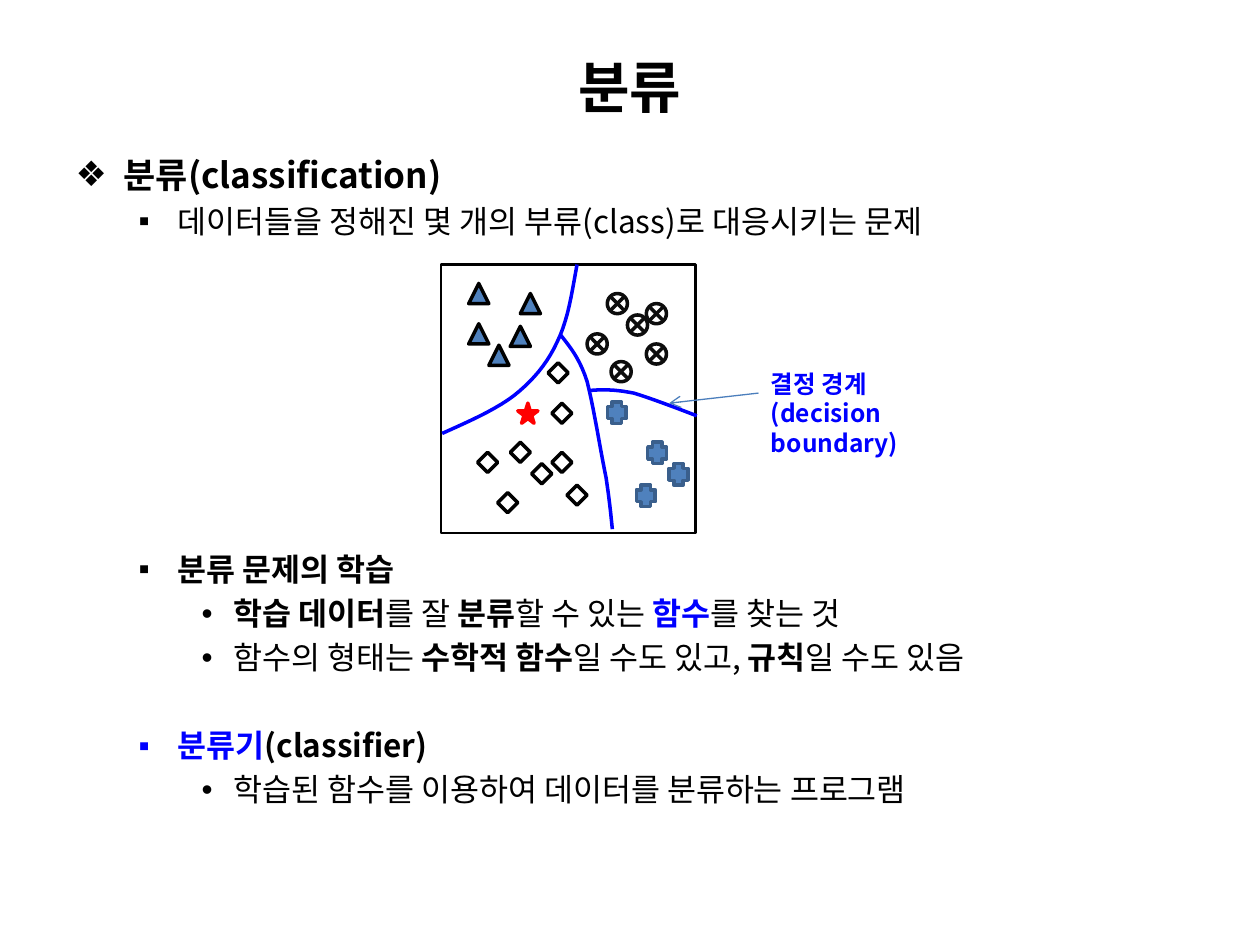
from dataclasses import dataclass

from lxml.etree import SubElement
from pptx import Presentation
from pptx.dml.color import RGBColor
from pptx.enum.shapes import MSO_CONNECTOR as Connector, MSO_SHAPE as Shape
from pptx.enum.text import MSO_ANCHOR as Anchor, MSO_AUTO_SIZE as AutoSize, PP_ALIGN as Align
from pptx.oxml.ns import qn
from pptx.util import Inches, Pt


@dataclass(frozen=True)
class Theme:
    heading: str = "Arial"
    body: str = "Noto Sans CJK KR"
    black: str = "000000"
    ink: str = "0D0D0D"
    accent: str = "0000FF"
    steel: str = "4F81BD"
    steel_edge: str = "3A5F8C"
    arrow: str = "4B7EBC"
    star: str = "FF0000"
    title_size: float = 32
    top_size: float = 20
    text_size: float = 18
    label_size: float = 14
    leading: float = 1.2


THEME = Theme()
COLUMNS, ROWS = 100, 75
CELL = Inches(10) // COLUMNS

# Level: bullet, left margin and hanging indent in columns, type size
LEVELS = {
    0: ("❖", 3.8, 3.8, THEME.top_size),
    1: ("▪", 8.1, 3.1, THEME.text_size),
    2: ("•", 12.5, 2.5, THEME.text_size),
}

# Level, space before in points, runs of (text, bold, colour)
OUTLINE = [
    (0, 0, [("분류(classification)", True, THEME.black)]),
    (1, 3.6, [("데이터들을 정해진 몇 개의 부류(class)로 대응시키는 문제", False, THEME.black)]),
    (1, 177.3, [("분류 문제의 학습", True, THEME.black)]),
    (2, 3.6, [("학습 데이터", True, THEME.black), ("를 잘 ", False, THEME.black),
              ("분류", True, THEME.black), ("할 수 있는 ", False, THEME.black),
              ("함수", True, THEME.accent), ("를 찾는 것", False, THEME.black)]),
    (2, 3.6, [("함수의 형태는 ", False, THEME.black), ("수학적 함수", True, THEME.black),
              ("일 수도 있고, ", False, THEME.black), ("규칙", True, THEME.black),
              ("일 수도 있음", False, THEME.black)]),
    (1, 28.7, [("분류기", True, THEME.accent), ("(classifier)", True, THEME.black)]),
    (2, 3.6, [("학습된 함수를 이용하여 데이터를 분류하는 프로그램", False, THEME.black)]),
]

# Each class: shape, width, height, fill, line, left-top positions
CLASSES = [
    (Shape.ISOSCELES_TRIANGLE, 1.6, 1.6, THEME.steel, THEME.black,
     [(37.2, 22.5), (41.3, 23.3), (40.5, 25.9), (37.2, 25.7), (38.8, 27.4)]),
    (Shape.FLOWCHART_SUMMING_JUNCTION, 1.6, 1.6, None, THEME.ink,
     [(48.2, 23.3), (46.6, 26.5), (51.3, 24.1), (48.5, 28.7), (51.3, 27.3), (49.8, 25)]),
    (Shape.DIAMOND, 1.6, 1.6, None, THEME.black,
     [(40.5, 35.1), (37.9, 35.9), (42.2, 36.8), (39.5, 39.1),
      (43.8, 32), (45, 38.5), (43.5, 28.8), (43.8, 35.9)]),
    (Shape.CROSS, 1.5, 1.7, THEME.steel, THEME.steel_edge,
     [(51.4, 35.1), (53.1, 36.8), (50.5, 38.5), (48.2, 31.9)]),
    (Shape.STAR_5_POINT, 1.6, 1.6, THEME.star, THEME.star, [(41.1, 32)]),
]

# Bezier chains: a start point, then two controls and an end per piece
BOUNDARIES = [
    [(35.1, 34.4), (37.1, 33.5), (39.2, 32.6), (40.8, 31.4), (42.3, 30.2),
     (43.4, 28.9), (44.2, 27.2), (45.1, 25.4), (45.4, 23.2), (45.8, 21)],
    [(44.5, 26.6), (45.2, 27.5), (46, 28.4), (46.6, 30.3), (47.1, 32.2),
     (47.7, 36), (48.1, 37.9), (48.4, 39.9), (48.5, 41), (48.6, 42)],
    [(46.7, 31), (47.8, 30.9), (48.8, 30.9), (50.3, 31.2),
     (51.7, 31.6), (55.3, 33), (55.3, 33)],
]


def grid(*cells):
    return [round(cell * CELL) for cell in cells]


def place(box, *cells):
    for name, value in zip(("left", "top", "width", "height"), grid(*cells)):
        setattr(box, name, value)


def add_span(para, text, size, bold, colour, face=THEME.body):
    span = para.add_run()
    span.text = text
    for name, value in {"size": Pt(size), "bold": bold, "name": face}.items():
        setattr(span.font, name, value)
    span.font.color.rgb = RGBColor.from_string(colour)
    # Hangul takes its face from the East Asian font
    SubElement(span.font._element, qn("a:ea"), typeface=THEME.body)


def paint(shape, fill, line, width):
    shape.shadow.inherit = False
    if fill:
        shape.fill.solid()
        shape.fill.fore_color.rgb = RGBColor.from_string(fill)
    else:
        shape.fill.background()
    shape.line.color.rgb = RGBColor.from_string(line)
    shape.line.width = Pt(width)


def set_frame(frame, **values):
    for name, value in {"word_wrap": True, "auto_size": AutoSize.NONE, **values}.items():
        setattr(frame, name, value)


def add_title(page, text):
    box = page.shapes.title
    place(box, 5, 3, 90, 7.7)
    set_frame(box.text_frame, vertical_anchor=Anchor.MIDDLE)
    para = box.text_frame.paragraphs[0]
    para.alignment = Align.CENTER
    add_span(para, text, THEME.title_size, True, THEME.black, THEME.heading)


def add_outline(page, items):
    box = page.placeholders[1]
    place(box, 5, 11.5, 90, 58.3)
    set_frame(box.text_frame, vertical_anchor=Anchor.TOP, margin_top=Inches(0.07))
    for index, (level, before, spans) in enumerate(items):
        para = box.text_frame.add_paragraph() if index else box.text_frame.paragraphs[0]
        bullet, margin, hang, size = LEVELS[level]
        formats = {"level": level, "space_before": Pt(before),
                   "line_spacing": Pt(size * THEME.leading)}
        for name, value in formats.items():
            setattr(para, name, value)
        properties = para._p.get_or_add_pPr()
        for name, value in zip(("marL", "indent"), grid(margin, -hang)):
            properties.set(name, str(value))
        SubElement(properties, qn("a:buFont"), typeface=THEME.heading)
        SubElement(properties, qn("a:buChar"), char=bullet)
        for text, bold, colour in spans:
            add_span(para, text, size, bold, colour)


def add_mark(page, kind, cells, fill, line, width=2):
    paint(page.shapes.add_shape(kind, *grid(*cells)), fill, line, width)


def bezier(points, steps=10):
    for first in range(0, len(points) - 1, 3):
        a, b, c, d = points[first:first + 4]
        for step in range(1, steps + 1):
            t = step / steps
            weights = ((1 - t) ** 3, 3 * t * (1 - t) ** 2, 3 * t * t * (1 - t), t ** 3)
            yield tuple(sum(w * p[axis] for w, p in zip(weights, (a, b, c, d)))
                        for axis in (0, 1))


def add_boundary(page, points):
    builder = page.shapes.build_freeform(*grid(*points[0]))
    builder.add_line_segments([grid(*point) for point in bezier(points)], close=False)
    paint(builder.convert_to_shape(), None, THEME.accent, 2)


def add_label(page, lines):
    box = page.shapes.add_textbox(*grid(60.2, 28.8, 20, 8))
    set_frame(box.text_frame)
    for index, text in enumerate(lines):
        para = box.text_frame.add_paragraph() if index else box.text_frame.paragraphs[0]
        para.line_spacing = Pt(THEME.label_size * THEME.leading)
        add_span(para, text, THEME.label_size, True, THEME.accent)


def add_arrow(page, *cells):
    arrow = page.shapes.add_connector(Connector.STRAIGHT, *grid(*cells))
    arrow.line.color.rgb = RGBColor.from_string(THEME.arrow)
    arrow.line.width = Pt(0.75)
    SubElement(arrow.line._get_or_add_ln(), qn("a:tailEnd"), type="arrow")
    SubElement(arrow._element.spPr, qn("a:effectLst"))


def main():
    deck = Presentation()
    deck.slide_width, deck.slide_height = COLUMNS * CELL, ROWS * CELL
    page = deck.slides.add_slide(deck.slide_layouts[1])
    add_title(page, "분류")
    add_outline(page, OUTLINE)

    # Scatter of classes with its decision boundaries
    add_mark(page, Shape.RECTANGLE, (35, 21, 20.2, 21.3), None, THEME.black, 1.5)
    for kind, width, height, fill, line, spots in CLASSES:
        for left, top in spots:
            add_mark(page, kind, (left, top, width, height), fill, line)
    for points in BOUNDARIES:
        add_boundary(page, points)

    # Callout
    add_label(page, ["결정 경계", "(decision boundary)"])
    add_arrow(page, 60.2, 31.2, 53.1, 32)
    deck.save("out.pptx")


if __name__ == "__main__":
    main()
